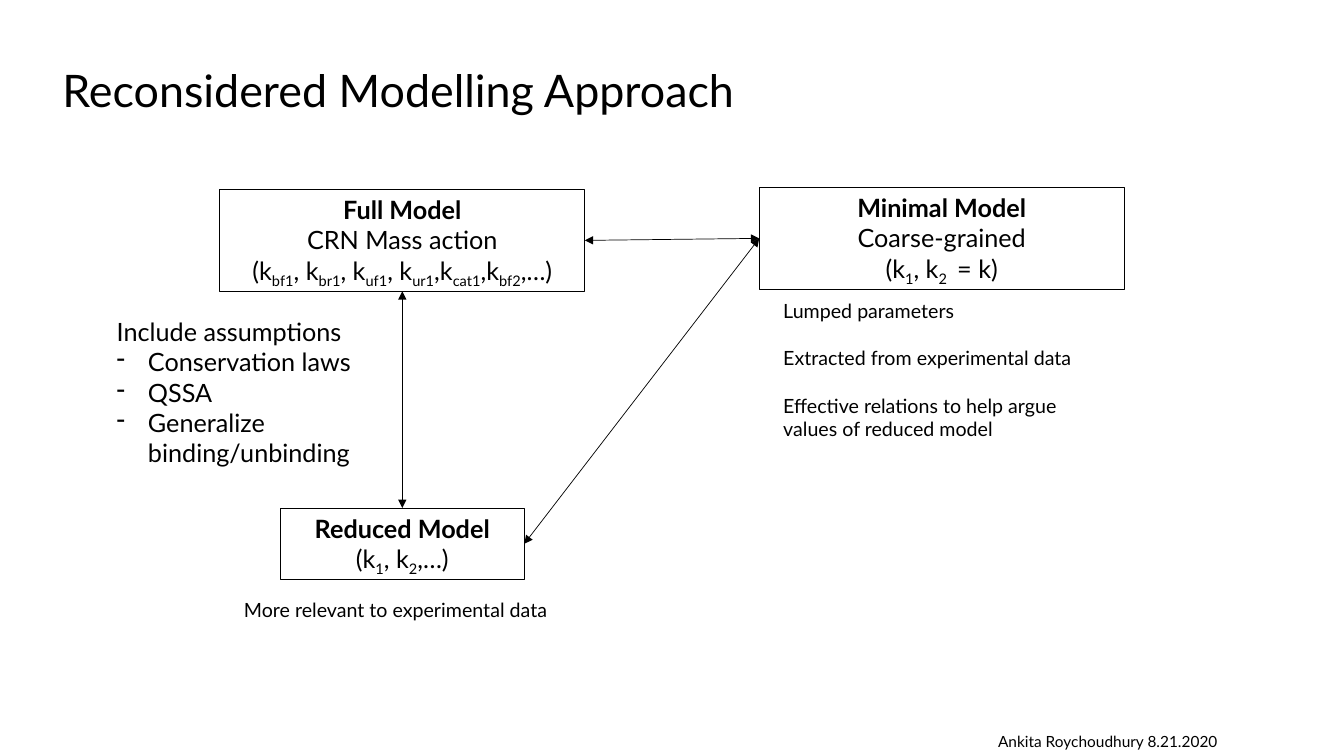
from dataclasses import dataclass

from lxml.etree import SubElement
from pptx import Presentation
from pptx.dml.color import RGBColor
from pptx.enum.shapes import MSO_CONNECTOR as Connector, MSO_SHAPE as Shape
from pptx.enum.text import MSO_ANCHOR as Anchor, MSO_AUTO_SIZE as AutoSize, PP_ALIGN as Align
from pptx.oxml.ns import qn
from pptx.shapes.autoshape import Shape as Box
from pptx.slide import Slide
from pptx.util import Inches, Pt

COLORS = {"ink": "000000"}
FONT = "Lato"
INK = RGBColor.from_string(COLORS["ink"])
TOP, LEFT, BOTTOM, RIGHT = range(4)


@dataclass(frozen=True)
class Line:
    text: str
    bold: bool = False
    bullet: bool = False


@dataclass(frozen=True)
class Model:
    name: str
    left: float
    top: float
    width: float
    height: float
    lines: tuple[Line, ...]


@dataclass(frozen=True)
class Note:
    left: float
    top: float
    width: float
    height: float
    size: float
    lines: tuple[Line, ...]
    gap: float = 0
    spacing: float = 1.0
    anchor: Anchor = Anchor.TOP
    wrap: bool = True
    grow: bool = True


@dataclass(frozen=True)
class Link:
    start: str
    start_side: int
    end: str
    end_side: int


MODELS = (
    Model("full", 2.18, 1.88, 3.62, 1.01, (
        Line("Full Model", bold=True),
        Line("CRN Mass action"),
        Line("(k_bf1_, k_br1_, k_uf1_, k_ur1_,k_cat1_,k_bf2_,…)"),
    )),
    Model("reduced", 2.78, 5.04, 2.42, 0.71, (
        Line("Reduced Model", bold=True),
        Line("(k_1_, k_2_,…)"),
    )),
    Model("minimal", 7.53, 1.86, 3.62, 1.01, (
        Line("Minimal Model", bold=True),
        Line("Coarse-grained"),
        Line("(k_1_, k_2 _ = k)"),
    )),
)

NOTES = (
    Note(9.8, 7.21, 2.39, 0.29, 11, (Line("Ankita Roychoudhury 8.21.2020"),), wrap=False),
    Note(0.52, 0.2, 11.5, 1.45, 32, (Line("Reconsidered Modelling Approach"),),
         spacing=0.9, anchor=Anchor.MIDDLE, grow=False),
    Note(1.06, 3.09, 2.93, 1.62, 18, (
        Line("Include assumptions"),
        Line("Conservation laws", bullet=True),
        Line("QSSA", bullet=True),
        Line("Generalize binding/unbinding", bullet=True),
    )),
    Note(2.32, 5.88, 3.34, 0.34, 14, (Line("More relevant to experimental data"),)),
    Note(7.67, 2.92, 3.34, 1.51, 14, (
        Line("Lumped parameters"),
        Line("Extracted from experimental data"),
        Line("Effective relations to help argue values of reduced model"),
    ), gap=16.8),
)

LINKS = (
    Link("full", BOTTOM, "reduced", TOP),
    Link("minimal", LEFT, "reduced", RIGHT),
    Link("minimal", LEFT, "full", RIGHT),
)


def write_lines(box: Box, lines: tuple[Line, ...], size: float, align: Align,
                gap: float = 0, spacing: float = 1.0) -> None:
    frame = box.text_frame
    for index, line in enumerate(lines):
        para = frame.add_paragraph() if index else frame.paragraphs[0]
        para.alignment = align
        para.line_spacing = spacing
        para.space_before = Pt(gap if index else 0)
        if line.bullet:
            properties = para._p.get_or_add_pPr()
            properties.set("marL", str(Inches(0.31)))
            properties.set("indent", str(-Inches(0.31)))
            SubElement(properties, qn("a:buChar"), char="-")
        for part, text in enumerate(line.text.split("_")):
            span = para.add_run()
            span.text = text
            span.font.name = FONT
            span.font.size = Pt(size)
            span.font.bold = line.bold
            span.font.color.rgb = INK
            if part % 2:
                span.font._element.set("baseline", "-25000")


def add_model(page: Slide, model: Model) -> Box:
    box = page.shapes.add_shape(Shape.RECTANGLE, Inches(model.left), Inches(model.top),
                                Inches(model.width), Inches(model.height))
    box.shadow.inherit = False
    box.fill.background()
    box.line.color.rgb = INK
    box.line.width = Pt(0.75)
    box.text_frame.word_wrap = True
    box.text_frame.vertical_anchor = Anchor.TOP
    box.text_frame.auto_size = AutoSize.SHAPE_TO_FIT_TEXT
    write_lines(box, model.lines, 18, Align.CENTER)
    return box


def add_note(page: Slide, note: Note) -> None:
    box = page.shapes.add_textbox(Inches(note.left), Inches(note.top),
                                  Inches(note.width), Inches(note.height))
    box.text_frame.word_wrap = note.wrap
    box.text_frame.vertical_anchor = note.anchor
    box.text_frame.auto_size = AutoSize.SHAPE_TO_FIT_TEXT if note.grow else AutoSize.NONE
    write_lines(box, note.lines, note.size, Align.LEFT, note.gap, note.spacing)


def add_link(page: Slide, link: Link, boxes: dict[str, Box]) -> None:
    arrow = page.shapes.add_connector(Connector.STRAIGHT, 0, 0, 0, 0)
    arrow.begin_connect(boxes[link.start], link.start_side)
    arrow.end_connect(boxes[link.end], link.end_side)
    arrow.line.color.rgb = INK
    arrow.line.width = Pt(0.5)
    outline = arrow.line._get_or_add_ln()
    for end in ("a:headEnd", "a:tailEnd"):
        SubElement(outline, qn(end), type="triangle")
    SubElement(arrow._element.spPr, qn("a:effectLst"))


def main() -> None:
    deck = Presentation()
    deck.slide_width, deck.slide_height = Inches(13.33), Inches(7.5)
    page = deck.slides.add_slide(deck.slide_layouts[6])
    boxes = {model.name: add_model(page, model) for model in MODELS}
    for note in NOTES:
        add_note(page, note)
    for link in LINKS:
        add_link(page, link, boxes)
    deck.save("out.pptx")


if __name__ == "__main__":
    main()
